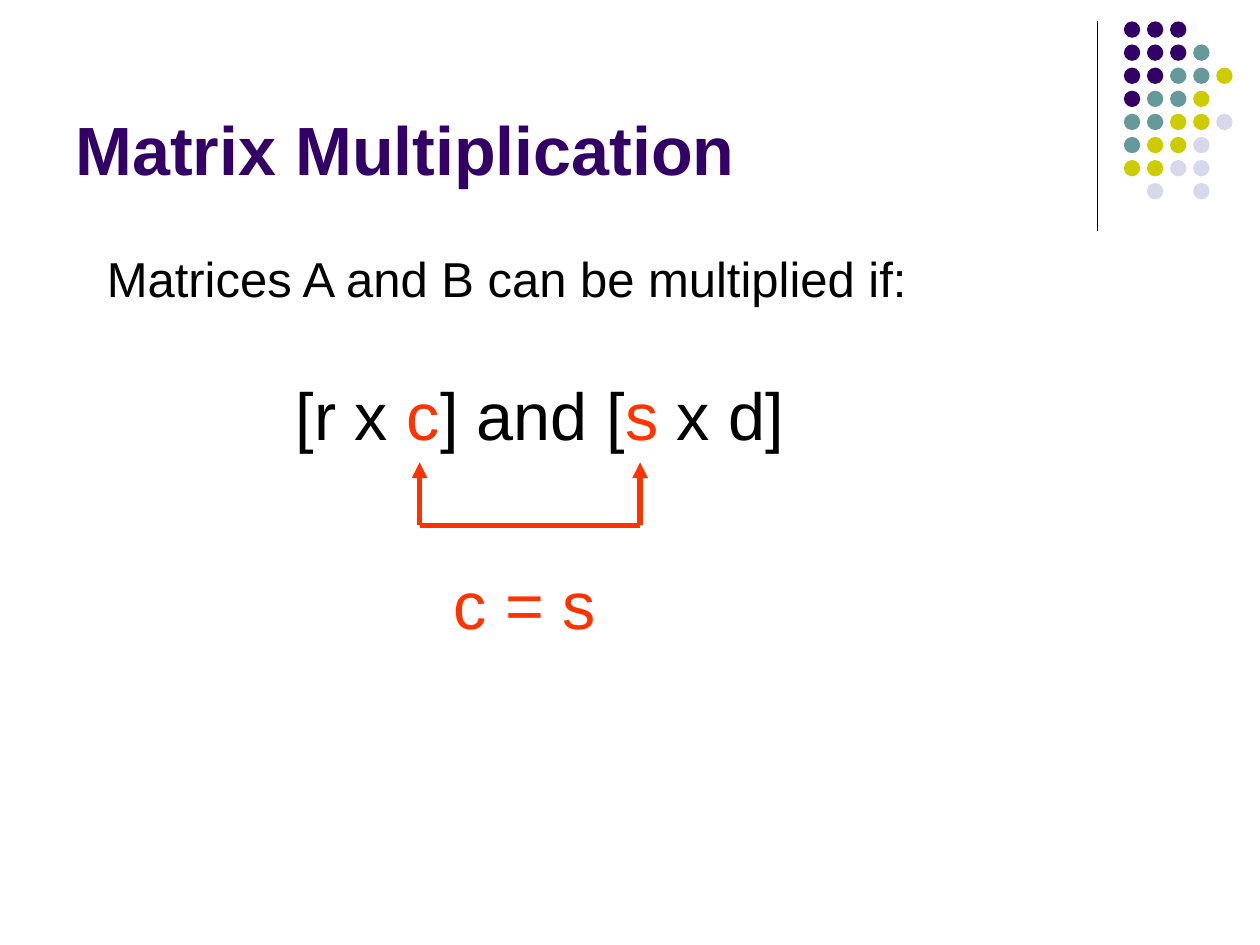
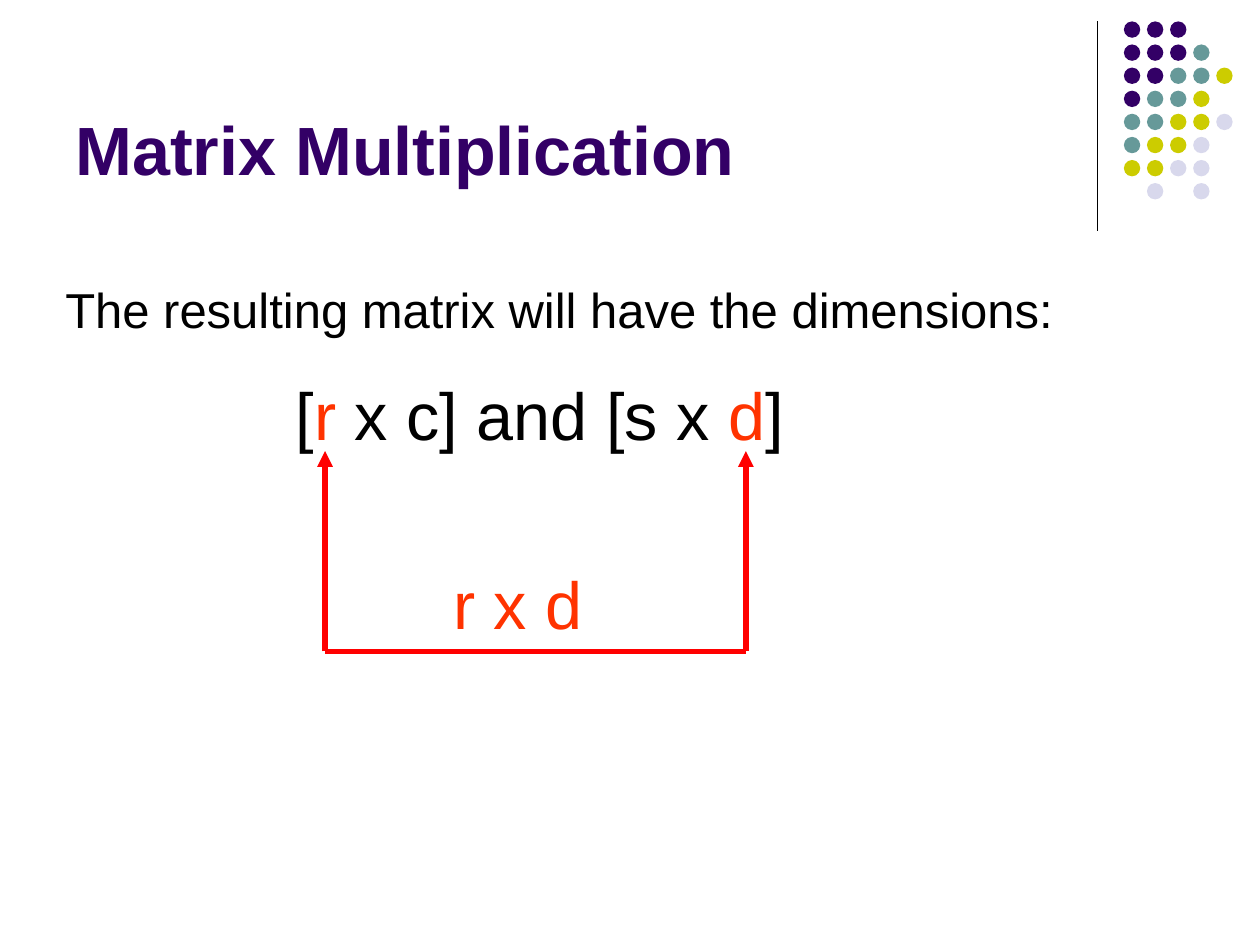
from lxml import etree
from pptx import Presentation
from pptx.dml.color import RGBColor
from pptx.enum import shapes, text
from pptx.oxml.ns import qn
from pptx.util import Inches, Pt

FONT = "Arial"
BLACK, PURPLE, ORANGE, RED = "000000", "330066", "FF3300", "FF0000"
DOT_COLORS = {"P": PURPLE, "T": "669999", "Y": "CCCC00", "L": "D8D8EC"}
DOT_ROWS = ["PPP", "PPPT", "PPTTY", "PTTY", "TTYYL", "TYYL", "YYLL", " L L"]
DOT_SIZE, DOT_STEP = 0.13, 0.55 / 3

# Pieces of each formula alternate between black and orange.
SLIDES = [
    dict(intro="Matrices A and B can be multiplied if:", intro_box=(0.75, 1.92, 6.67, 0.57),
         formula=["[r x ", "c", "] and [", "s", " x d]"],
         result="c = s", result_width=1.4,
         bracket=(3.33, 5.08, 3.67, 4.17), bracket_color=ORANGE),
    dict(intro="The resulting matrix will have the dimensions:", intro_box=(0.42, 2.17, 8.25, 0.57),
         formula=["[", "r", " x c] and [s x ", "d", "]"],
         result="r x d", result_width=1.3,
         bracket=(2.58, 5.92, 3.58, 5.17), bracket_color=RED),
]


def add_text(s, box, pieces, colors, size):
    """Add a one-paragraph text box whose pieces cycle through the colours."""
    tf = s.shapes.add_textbox(*map(Inches, box)).text_frame
    tf.word_wrap = True
    tf.auto_size = text.MSO_AUTO_SIZE.SHAPE_TO_FIT_TEXT
    p = tf.paragraphs[0]
    for i, piece in enumerate(pieces):
        r = p.add_run()
        r.text = piece
        r.font.name, r.font.size = FONT, Pt(size)
        r.font.color.rgb = RGBColor.from_string(colors[i % len(colors)])
    return tf


def add_line(parent, x1, y1, x2, y2, color, width, arrow=False):
    ln = parent.add_connector(shapes.MSO_CONNECTOR.STRAIGHT, *map(Inches, (x1, y1, x2, y2)))
    ln.line.color.rgb = RGBColor.from_string(color)
    ln.line.width = Pt(width)
    if arrow:
        etree.SubElement(ln.line._get_or_add_ln(), qn("a:tailEnd"), type="triangle")
    etree.SubElement(ln._element.spPr, qn("a:effectLst"))


prs = Presentation()
prs.slide_width, prs.slide_height = Inches(10), Inches(7.5)

for content in SLIDES:
    s = prs.slides.add_slide(prs.slide_layouts[6])

    # Corner decoration
    add_line(s.shapes, 8.71, 0.17, 8.71, 1.83, BLACK, 0.75)
    dots = s.shapes.add_group_shape().shapes
    for row, keys in enumerate(DOT_ROWS):
        for col, key in enumerate(keys):
            if key == " ":
                continue
            sp = dots.add_shape(shapes.MSO_SHAPE.OVAL,
                                Inches(8.92 + col * DOT_STEP), Inches(0.17 + row * DOT_STEP),
                                Inches(DOT_SIZE), Inches(DOT_SIZE))
            sp.shadow.inherit = False
            sp.fill.solid()
            sp.fill.fore_color.rgb = RGBColor.from_string(DOT_COLORS[key])
            sp.line.fill.background()

    # Title
    tf = add_text(s, (0.5, 0.13, 8.25, 1.42), ["Matrix Multiplication"], [PURPLE], 39)
    tf.auto_size = text.MSO_AUTO_SIZE.NONE
    tf.vertical_anchor = text.MSO_ANCHOR.BOTTOM
    tf.paragraphs[0].runs[0].font.bold = True

    # Statement, formula and result
    tf = add_text(s, content["intro_box"], [content["intro"]], [BLACK], 28)
    tf.paragraphs[0].space_before = Pt(17.5)
    add_text(s, (2.25, 2.92, 4.2, 0.74), content["formula"], [BLACK, ORANGE], 38)
    add_text(s, (3.5, 4.42, content["result_width"], 0.74), [content["result"]], [ORANGE], 38)

    # Bracket with an arrow up to each highlighted letter
    left, right, top, bottom = content["bracket"]
    color = content["bracket_color"]
    bracket = s.shapes.add_group_shape().shapes
    for x in (left, right):
        add_line(bracket, x, bottom, x, top, color, 3, arrow=True)
    add_line(bracket, left, bottom, right, bottom, color, 3)

prs.save("out.pptx")
